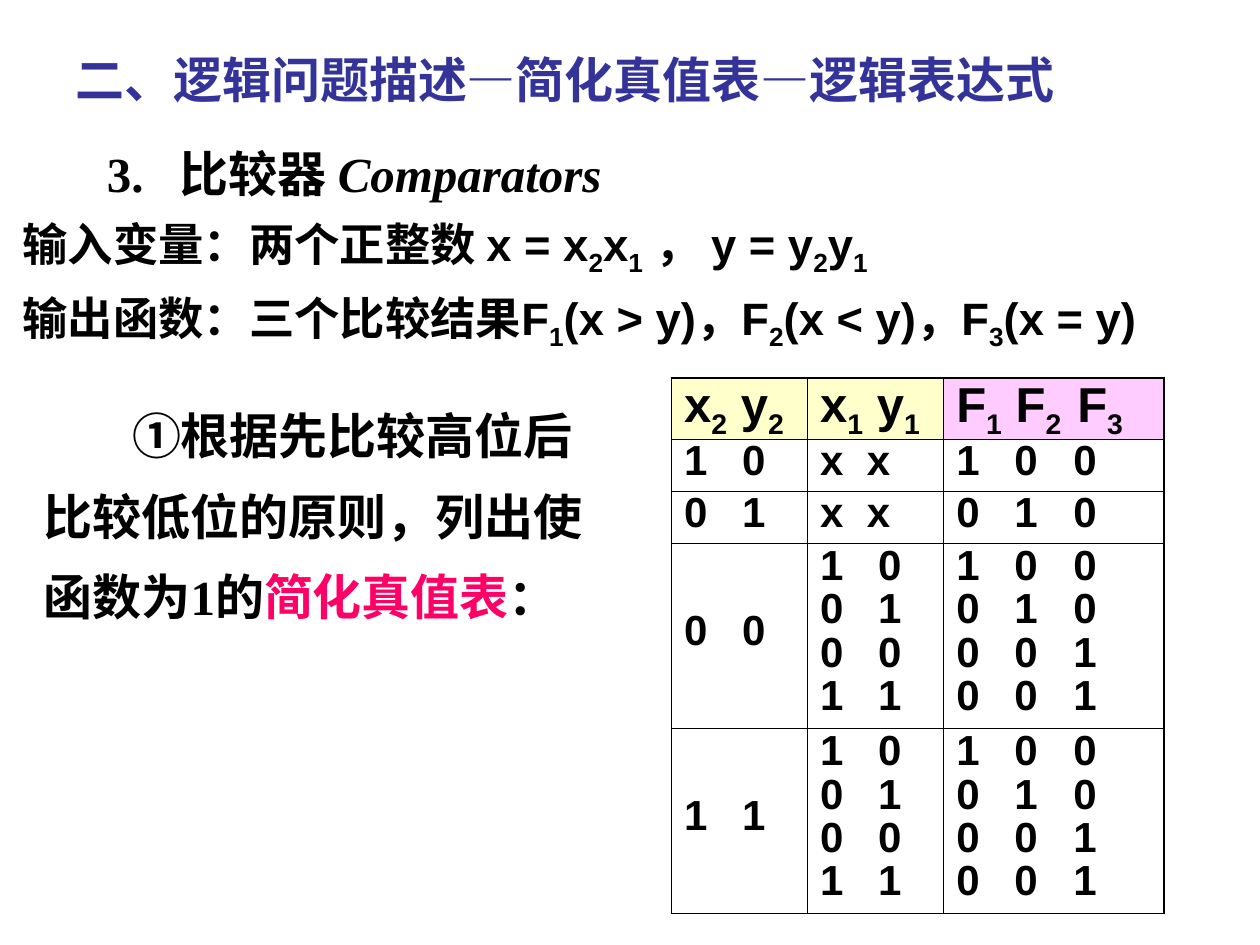
from pptx import Presentation
from pptx.dml.color import RGBColor
from pptx.enum.text import MSO_ANCHOR, MSO_AUTO_SIZE, PP_ALIGN
from pptx.oxml.ns import qn
from pptx.util import Inches, Pt
from lxml import etree

MID, TOP = MSO_ANCHOR.MIDDLE, MSO_ANCHOR.TOP
GROW, LEFT = MSO_AUTO_SIZE.SHAPE_TO_FIT_TEXT, PP_ALIGN.LEFT
BLACK = RGBColor(0x00, 0x00, 0x00)
BLUE = RGBColor(0x33, 0x33, 0x99)
RED = RGBColor(0xFF, 0x00, 0x66)
WHITE = RGBColor(0xFF, 0xFF, 0xFF)
CREAM = RGBColor(0xFF, 0xFF, 0xCC)
PINK = RGBColor(0xFF, 0xCC, 0xFF)
SANS, SERIF = "Arial", "Times New Roman"

TITLE = "二、逻辑问题描述—简化真值表—逻辑表达式"
HEAD = [[("3.\t比较器 ", BLACK, False), ("Comparators", BLACK, True)]]
BODY = ["输入变量：两个正整数 x = x_2x_1 ， y = y_2y_1",
        "输出函数：三个比较结果F_1(x > y)，F_2(x < y)，F_3(x = y)"]
NOTE = ["①根据先比较高位后", "比较低位的原则，列出使",
        [("函数为1的", BLACK, False), ("简化真值表", RED, False), ("：", BLACK, False)]]
PAIRS = ["1\t0", "0\t1", "0\t0", "1\t1"]
OUTS = ["1\t0\t0", "0\t1\t0", "0\t0\t1", "0\t0\t1"]
ROWS = [
    [["x_2 y_2"], ["x_1 y_1"], ["F_1 F_2\tF_3"]],
    [["1\t0"], ["x\tx"], OUTS[:1]],
    [["0\t1"], ["x\tx"], OUTS[1:2]],
    [["0\t0"], PAIRS, OUTS],
    [["1\t1"], PAIRS, OUTS],
]
COLS = [1.08, 1.08, 1.75]
TALL = [0.49, 0.41, 0.41, 1.47, 1.47]
TINTS = [CREAM, CREAM, PINK]


def set_tabs(para, stops):
    tabs = etree.SubElement(para._p.get_or_add_pPr(), qn("a:tabLst"))
    for stop in stops:
        etree.SubElement(tabs, qn("a:tab"), pos=str(Inches(stop)), algn="l")


def add_run(para, text, size, face, color, slant, low=False):
    if not text:
        return
    run = para.add_run()
    run.text = text
    font = run.font
    font.size, font.name, font.bold = Pt(size), face, True
    font.color.rgb = color
    if slant:
        font.italic = True
    if low:
        run._r.get_or_add_rPr().set("baseline", "-25000")


def write(frame, lines, size, face, color=BLACK, line=1.0, gap=0, stops=()):
    for i, parts in enumerate(lines):
        para = frame.add_paragraph() if i else frame.paragraphs[0]
        para.alignment = LEFT
        para.line_spacing = line
        para.space_before = Pt(gap if i else 0)
        if stops:
            set_tabs(para, stops)
        if isinstance(parts, str):
            parts = [(parts, color, False)]
        for text, hue, slant in parts:
            first, *rest = text.split("_")
            add_run(para, first, size, face, hue, slant)
            for part in rest:
                add_run(para, part[0], size, face, hue, slant, True)
                add_run(para, part[1:], size, face, hue, slant)


def add_box(slide, place, anchor):
    frame = slide.shapes.add_textbox(*map(Inches, place)).text_frame
    frame.word_wrap = True
    frame.vertical_anchor = anchor
    return frame


def set_edges(cell, edges):
    props = cell._tc.get_or_add_tcPr()
    for i, (side, width) in enumerate(edges):
        edge = etree.Element(qn("a:ln" + side), w=str(Pt(width)))
        fill = etree.SubElement(edge, qn("a:solidFill"))
        etree.SubElement(fill, qn("a:srgbClr"), val=str(BLACK))
        props.insert(i, edge)


def add_truth(slide):
    place = (5.33, 3, sum(COLS), sum(TALL))
    table = slide.shapes.add_table(len(ROWS), len(COLS), *map(Inches, place)).table
    table.first_row = table.horz_banding = False
    for col, width in zip(table.columns, COLS):
        col.width = Inches(width)
    for r, row in enumerate(ROWS):
        table.rows[r].height = Inches(TALL[r])
        for c, lines in enumerate(row):
            cell = table.cell(r, c)
            cell.vertical_anchor = MID
            cell.fill.solid()
            cell.fill.fore_color.rgb = WHITE if r else TINTS[c]
            outer = [("L", c == 0), ("R", c == len(COLS) - 1),
                     ("T", r == 0), ("B", r == len(ROWS) - 1)]
            set_edges(cell, [(side, 1.08 if out else 0.45) for side, out in outer])
            if r == 0:
                stops = [0.96]
            else:
                stops = [0.37] if "x" in lines[0] else [0.46, 0.93]
            write(cell.text_frame, lines, 24 if r else 28, SANS,
                  line=0.7, gap=6, stops=stops)


def main():
    deck = Presentation()
    deck.slide_width, deck.slide_height = Inches(10), Inches(7.5)
    slide = deck.slides.add_slide(deck.slide_layouts[5])

    title = slide.shapes.title
    title.left, title.top = Inches(0.5), Inches(0.25)
    title.width, title.height = Inches(8.17), Inches(0.75)
    title.text_frame.vertical_anchor = MID
    write(title.text_frame, [TITLE], 28, SANS, BLUE)

    body = add_box(slide, (0.08, 1.75, 9.75, 1.17), TOP)
    write(body, BODY, 25.9, SANS, line=0.7, gap=17.5)

    note = add_box(slide, (0.25, 3.24, 4.83, 1.78), TOP)
    note.auto_size = GROW
    write(note, NOTE, 28, SERIF, line=0.85, gap=17.5)
    note.paragraphs[0]._p.get_or_add_pPr().set("indent", str(Inches(0.7)))

    add_truth(slide)
    head = add_box(slide, (0.75, 1, 4.33, 0.75), MID)
    write(head, HEAD, 28, SERIF, stops=[0.58])
    deck.save("out.pptx")


if __name__ == "__main__":
    main()
